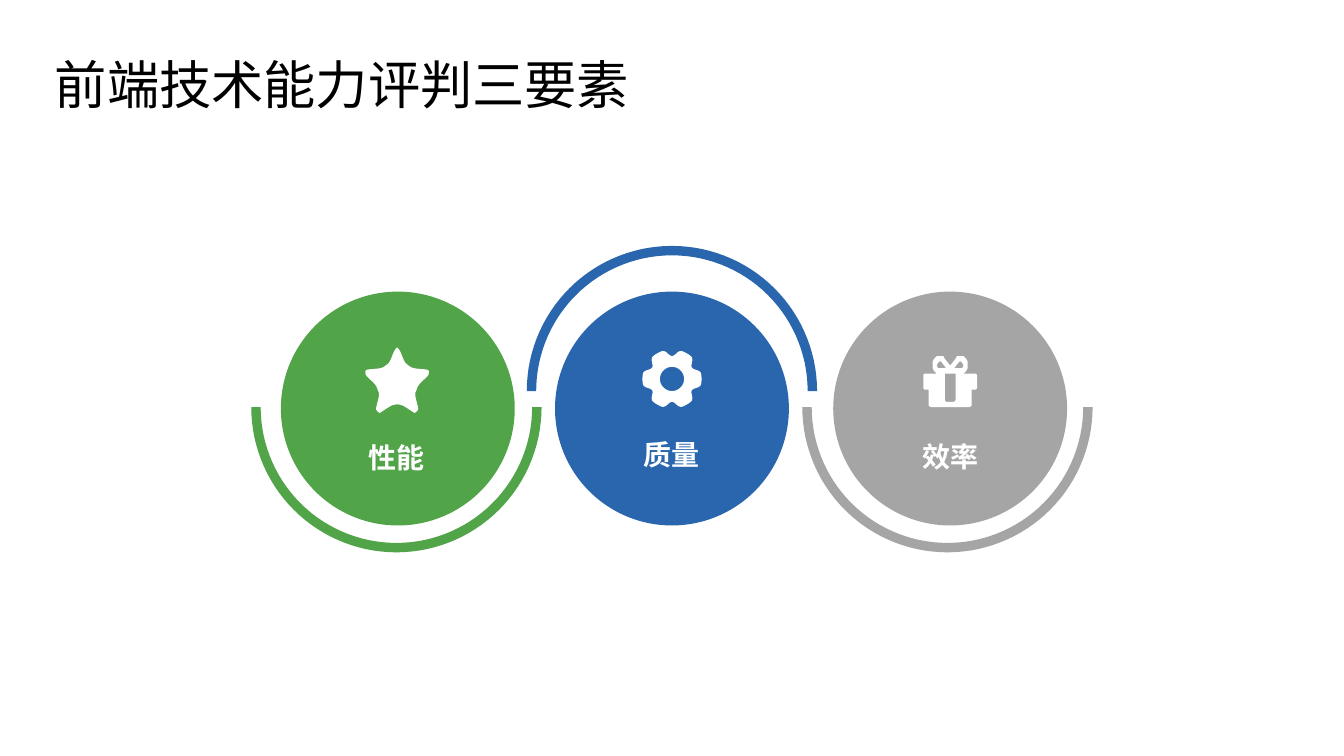
from math import cos, pi, radians, sin

from pptx import Presentation
from pptx.dml.color import RGBColor
from pptx.enum.shapes import MSO_SHAPE
from pptx.enum.text import PP_ALIGN
from pptx.oxml.ns import qn
from pptx.util import Inches, Pt

GREEN = RGBColor(0x52, 0xA4, 0x49)
BLUE = RGBColor(0x29, 0x66, 0xAD)
GRAY = RGBColor(0xA5, 0xA5, 0xA5)
WHITE = RGBColor(0xFF, 0xFF, 0xFF)
BLACK = RGBColor(0, 0, 0)
CJK_FONT = "Noto Sans CJK SC"


def mirror(half, axis):
    """Close a left half outline with its reflection."""
    return half + [(2 * axis - x, y) for x, y in reversed(half)]


def polar(cx, cy, radius, angle):
    return cx + radius * cos(angle), cy + radius * sin(angle)


def arc(cx, cy, radius, start, end, steps=60):
    return [polar(cx, cy, radius, start + (end - start) * i / steps)
            for i in range(steps + 1)]


def smooth(points, steps=6):
    """Run a closed Catmull-Rom curve through the points."""
    curve = []
    for i in range(len(points)):
        p0, p1, p2, p3 = (points[(i + k) % len(points)] for k in (-1, 0, 1, 2))
        for t in (j / steps for j in range(steps)):
            curve.append(tuple(
                b + 0.5 * t * (c - a + t * (2 * a - 5 * b + 4 * c - d
                                            + t * (3 * (b - c) + d - a)))
                for a, b, c, d in zip(p0, p1, p2, p3)))
    return curve


class SlideBuilder:
    def __init__(self, slide):
        self.s = slide

    def paint(self, sp, color):
        sp.shadow.inherit = False
        sp.fill.solid()
        sp.fill.fore_color.rgb = color
        sp.line.fill.background()

    def circle(self, left, top, size, color):
        sp = self.s.shapes.add_shape(MSO_SHAPE.OVAL, Inches(left), Inches(top),
                                     Inches(size), Inches(size))
        self.paint(sp, color)

    def outline(self, contours, color):
        fb = None
        for contour in contours:
            pts = [(Inches(x), Inches(y)) for x, y in contour]
            if fb is None:
                fb = self.s.shapes.build_freeform(*pts[0])
            else:
                fb.move_to(*pts[0])
            fb.add_line_segments(pts[1:], close=True)
        self.paint(fb.convert_to_shape(), color)

    def half_ring(self, cx, cy, start, color):
        outer = arc(cx, cy, 1.08, start, start + pi)
        inner = arc(cx, cy, 1.01, start + pi, start)
        self.outline([outer + inner], color)

    def text(self, box, words, size, color, font, bold=False, align=PP_ALIGN.LEFT):
        tf = self.s.shapes.add_textbox(*map(Inches, box)).text_frame
        tf.word_wrap = True
        p = tf.paragraphs[0]
        p.alignment = align
        r = p.add_run()
        r.text = words
        r.font.size, r.font.bold, r.font.name = Pt(size), bold, font
        r.font.color.rgb = color
        ea = r.font._element.makeelement(qn("a:ea"), {"typeface": CJK_FONT})
        r.font._element.append(ea)


# Star and gift are left halves, mirrored about the icon's axis
STAR = [smooth(mirror([
    (2.95, 2.59), (2.93, 2.62), (2.9, 2.69), (2.87, 2.72),
    (2.83, 2.74), (2.74, 2.75), (2.72, 2.76), (2.72, 2.78), (2.73, 2.8),
    (2.79, 2.86), (2.81, 2.9), (2.82, 2.94), (2.8, 3.03), (2.8, 3.05),
    (2.82, 3.07), (2.83, 3.07), (2.91, 3.02), (2.95, 3.01)], 2.955))]

# Gear: one tooth as (degrees, radius), repeated every 60 degrees
TOOTH = [(-16, 0.21), (-8, 0.22), (8, 0.22), (16, 0.21), (30, 0.17)]
GEAR = [
    smooth([polar(5, 2.82, radius, radians(turn + angle))
            for turn in range(0, 360, 60) for angle, radius in TOOTH]),
    arc(5, 2.82, 0.09, 0, 2 * pi),
]

GIFT_AXIS = 7.07
BOW_HOLE = [(6.97, 2.72), (6.98, 2.74), (6.99, 2.74), (7.04, 2.74),
            (7.01, 2.7), (7, 2.69), (6.99, 2.69), (6.98, 2.7)]
GIFT = [
    mirror([
        (7.07, 2.72), (7.03, 2.67), (7.02, 2.65), (6.99, 2.65), (6.97, 2.65),
        (6.95, 2.67), (6.94, 2.69), (6.94, 2.72), (6.94, 2.74), (6.95, 2.76),
        (6.97, 2.78), (6.88, 2.78), (6.87, 2.79), (6.87, 2.89), (6.88, 2.9),
        (6.91, 2.9), (6.91, 3), (6.91, 3.02), (6.93, 3.03)], GIFT_AXIS),
    BOW_HOLE,
    [(2 * GIFT_AXIS - x, y) for x, y in BOW_HOLE],
    mirror([(7.03, 2.78), (7.03, 2.98), (7.04, 2.99)], GIFT_AXIS),
]

# Label, colour, circle left, icon, label position, ring centre, ring start
FACTORS = [
    ("性能", GREEN, 2.09, STAR, (2.45, 3.23), (2.95, 3.03), 0),
    ("质量", BLUE, 4.13, GEAR, (4.5, 3.21), (5, 2.91), pi),
    ("效率", GRAY, 6.2, GIFT, (6.57, 3.22), (7.05, 3.03), 0),
]


def main():
    prs = Presentation()
    prs.slide_width = Inches(10)
    prs.slide_height = Inches(10 * 9 / 16)
    b = SlideBuilder(prs.slides.add_slide(prs.slide_layouts[6]))

    # Title
    b.text((0.31, 0.34, 5.95, 0.57), "前端技术能力评判三要素", 28, BLACK, CJK_FONT)

    # Three factors, each with a disc, icon, label and half ring
    for label, color, left, icon, label_at, ring_at, start in FACTORS:
        b.circle(left, 2.17, 1.74, color)
        b.outline(icon, WHITE)
        b.text((*label_at, 1, 0.35), label, 15, WHITE, "Arial", True, PP_ALIGN.CENTER)
        b.half_ring(*ring_at, start, color)

    prs.save("out.pptx")


if __name__ == "__main__":
    main()
